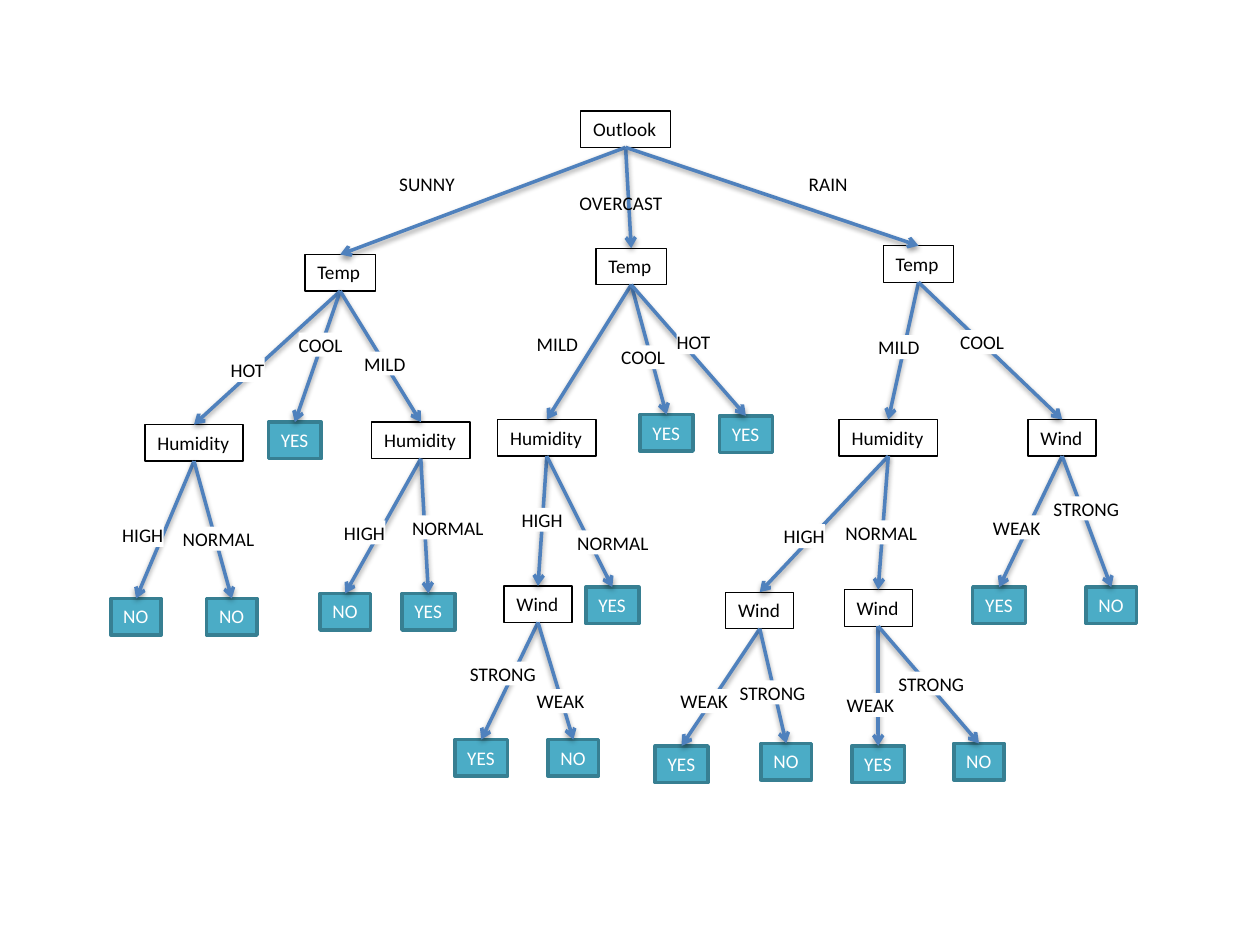
from lxml import etree
from pptx import Presentation
from pptx.dml.color import RGBColor
from pptx.enum.shapes import MSO_CONNECTOR, MSO_SHAPE
from pptx.enum.text import MSO_ANCHOR, MSO_AUTO_SIZE, PP_ALIGN
from pptx.oxml.ns import qn
from pptx.util import Inches, Pt

RECT = MSO_SHAPE.RECTANGLE
STRAIGHT = MSO_CONNECTOR.STRAIGHT
MIDDLE, TOP = MSO_ANCHOR.MIDDLE, MSO_ANCHOR.TOP
LEFT = PP_ALIGN.LEFT
GROW = MSO_AUTO_SIZE.SHAPE_TO_FIT_TEXT
BOTTOM_SITE, TOP_SITE = 2, 0

WIDTH, HEIGHT = Inches(10), Inches(7.5)
COLS, ROWS = 1000, 750

THEME = {
    "font": "Calibri", "size": 11,
    "ink": "000000", "paper": "FFFFFF",
    "leaf": "4BACC6", "leaf_edge": "377F92", "arrow": "4F81BD",
    "thin": 0.75, "thick": 2,
}

# node: text, column, row, branches; branch: label, column, row, child
TREE = ("Outlook", 461, 88, [
    ("SUNNY", 307, 132, ("Temp", 242, 202, [
        ("HOT", 183, 284, ("Humidity", 115, 337, [
            ("HIGH", 97, 415, ("NO", 88, 475, [])),
            ("NORMAL", 145, 418, ("NO", 164, 475, [])),
        ])),
        ("COOL", 237, 264, ("YES", 213, 335, [])),
        ("MILD", 289, 279, ("Humidity", 295, 335, [
            ("HIGH", 273, 413, ("NO", 254, 471, [])),
            ("NORMAL", 327, 409, ("YES", 319, 471, [])),
        ])),
    ])),
    ("OVERCAST", 450, 147, ("Temp", 473, 197, [
        ("MILD", 426, 263, ("Humidity", 395, 333, [
            ("HIGH", 414, 403, ("Wind", 400, 465, [
                ("STRONG", 373, 525, ("YES", 361, 587, [])),
                ("WEAK", 426, 547, ("NO", 435, 587, [])),
            ])),
            ("NORMAL", 458, 421, ("YES", 465, 466, [])),
        ])),
        ("COOL", 493, 274, ("YES", 508, 329, [])),
        ("HOT", 537, 262, ("YES", 571, 330, [])),
    ])),
    ("RAIN", 632, 132, ("Temp", 701, 195, [
        ("MILD", 697, 266, ("Humidity", 666, 333, [
            ("HIGH", 622, 416, ("Wind", 576, 470, [
                ("WEAK", 540, 547, ("YES", 520, 592, [])),
                ("STRONG", 587, 540, ("NO", 604, 590, [])),
            ])),
            ("NORMAL", 671, 413, ("Wind", 670, 468, [
                ("WEAK", 672, 550, ("YES", 676, 592, [])),
                ("STRONG", 713, 533, ("NO", 757, 590, [])),
            ])),
        ])),
        ("COOL", 762, 262, ("Wind", 816, 333, [
            ("WEAK", 788, 409, ("YES", 772, 466, [])),
            ("STRONG", 836, 394, ("NO", 862, 466, [])),
        ])),
    ])),
])

COL_SPAN = {
    "Outlook": 71, "Temp": 56, "Humidity": 78, "Wind": 54, "YES": 42, "NO": 40,
    "SUNNY": 65, "OVERCAST": 87, "RAIN": 51,
    "HOT": 27, "COOL": 35, "MILD": 33, "HIGH": 33,
    "NORMAL": 58, "WEAK": 39, "STRONG": 53,
}
BOX_ROWS, TAG_ROWS = 29, 19


def rgb(name):
    return RGBColor.from_string(THEME[name])


def add_box(text, col, row, rows=BOX_ROWS, fill=None, line=None,
            weight="thin", color="ink", tight=False, plain=False):
    at = (WIDTH * col // COLS, HEIGHT * row // ROWS,
          WIDTH * COL_SPAN[text] // COLS, HEIGHT * rows // ROWS)
    sp = shapes.add_textbox(*at) if plain else shapes.add_shape(RECT, *at)
    if not plain:
        sp.shadow.inherit = False
    if fill:
        sp.fill.solid()
        sp.fill.fore_color.rgb = rgb(fill)
    else:
        sp.fill.background()
    if line:
        sp.line.color.rgb = rgb(line)
        sp.line.width = Pt(THEME[weight])
    else:
        sp.line.fill.background()
    tf = sp.text_frame
    tf.word_wrap = False
    tf.auto_size = GROW
    tf.vertical_anchor = MIDDLE if tight else TOP
    if tight:
        tf.margin_left = tf.margin_right = tf.margin_top = tf.margin_bottom = 0
    p = tf.paragraphs[0]
    p.alignment = LEFT
    r = p.add_run()
    r.text = text
    r.font.name = THEME["font"]
    r.font.size = Pt(THEME["size"])
    r.font.color.rgb = rgb(color)
    return sp


def add_arrow(start, end):
    cx = shapes.add_connector(STRAIGHT, 0, 0, 0, 0)
    cx.begin_connect(start, BOTTOM_SITE)
    cx.end_connect(end, TOP_SITE)
    cx.line.color.rgb = rgb("arrow")
    cx.line.width = Pt(THEME["thick"])
    etree.SubElement(cx.line._get_or_add_ln(), qn("a:tailEnd"), type="arrow")
    effects = etree.SubElement(cx._element.spPr, qn("a:effectLst"))
    shadow = etree.SubElement(effects, qn("a:outerShdw"), blurRad="40000",
                              dist="20000", dir="5400000", rotWithShape="0")
    tint = etree.SubElement(shadow, qn("a:srgbClr"), val=THEME["ink"])
    etree.SubElement(tint, qn("a:alpha"), val="38000")


def add_node(node, links, tags, depth=0):
    text, col, row, branches = node
    if branches:
        sp = add_box(text, col, row, line="ink")
    else:
        sp = add_box(text, col, row, fill="leaf", line="leaf_edge",
                     weight="thick", color="paper")
    for *tag, child in branches:
        links.append((sp, add_node(child, links, tags, depth + 1)))
        tags.append((tag, depth == 0))
    return sp


prs = Presentation()
prs.slide_width, prs.slide_height = WIDTH, HEIGHT
s = prs.slides.add_slide(prs.slide_layouts[6])
shapes = s.shapes

links, tags = [], []
add_node(TREE, links, tags)
for start, end in links:
    add_arrow(start, end)
for tag, at_root in tags:
    if at_root:
        add_box(*tag, plain=True)
    else:
        add_box(*tag, rows=TAG_ROWS, fill="paper", tight=True)

prs.save("out.pptx")
